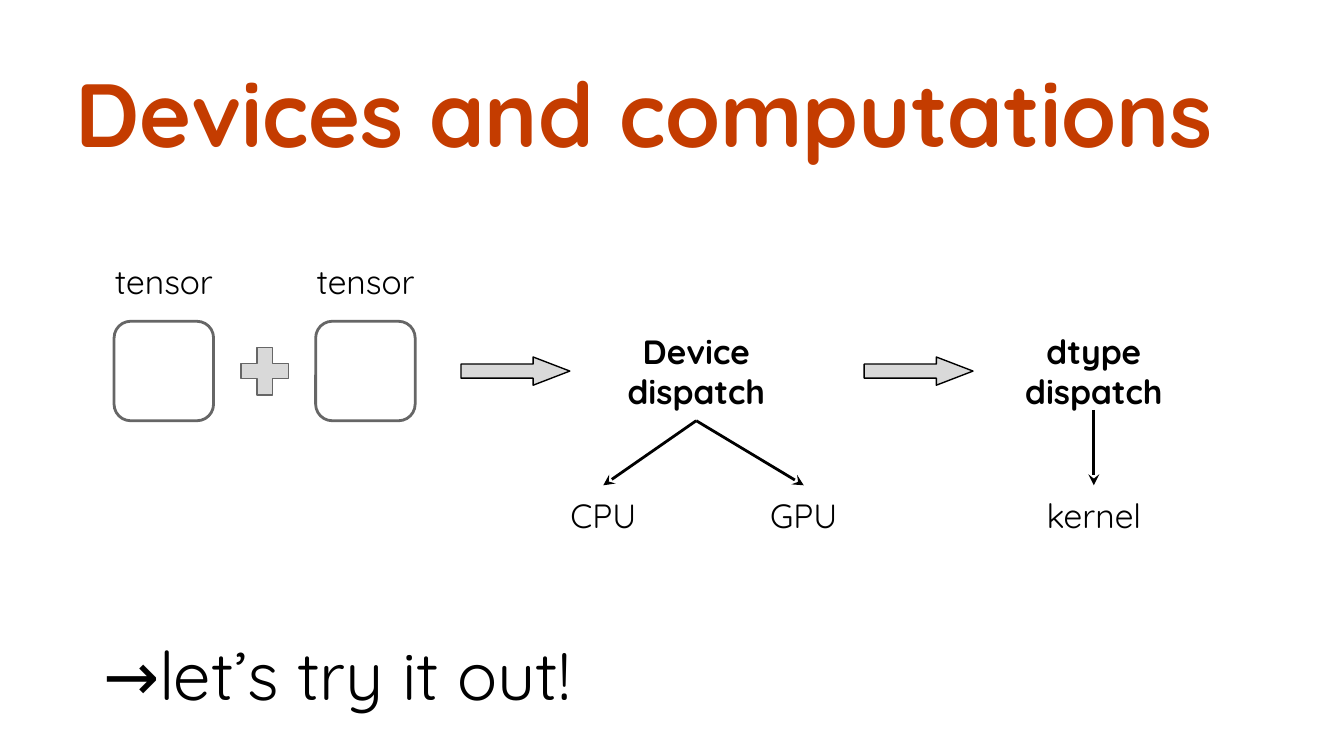
from lxml.etree import SubElement
from pptx import Presentation
from pptx.dml.color import RGBColor
from pptx.enum.shapes import MSO_CONNECTOR, MSO_SHAPE
from pptx.enum.text import MSO_ANCHOR, MSO_AUTO_SIZE, PP_ALIGN
from pptx.oxml.ns import qn
from pptx.util import Pt

ORANGE = RGBColor(0xC4, 0x3C, 0x00)
BLACK = RGBColor(0x00, 0x00, 0x00)
GREY = RGBColor(0x66, 0x66, 0x66)
LIGHT_GREY = RGBColor(0xD9, 0xD9, 0xD9)
FONT = "Quicksand"

TITLE = "Devices and computations"
CLOSING = "→let’s try it out!"

# Rows and columns are centre lines, in points
TENSOR_LABEL_ROW, FLOW_ROW, TARGET_ROW = 150.5, 198.8, 275.8
TENSOR_COLUMNS = (87.8, 195.8)
DEVICE_COLUMN, DTYPE_COLUMN = 373, 586
CPU_COLUMN, GPU_COLUMN = 323.2, 430.6
TARGET_TOP = 260

LABELS = [  # text, column, row, bold
    *[("tensor", column, TENSOR_LABEL_ROW, False) for column in TENSOR_COLUMNS],
    ("Device dispatch", DEVICE_COLUMN, FLOW_ROW, True),
    ("dtype dispatch", DTYPE_COLUMN, FLOW_ROW, True),
    ("CPU", CPU_COLUMN, TARGET_ROW, False),
    ("GPU", GPU_COLUMN, TARGET_ROW, False),
    ("kernel", DTYPE_COLUMN, TARGET_ROW, False),
]

TENSOR = dict(kind=MSO_SHAPE.ROUNDED_RECTANGLE, width=53.3, height=53.3,
              adjustments=(0.167,), fill=None, line=GREY, weight=1.5)
PLUS = dict(kind=MSO_SHAPE.MATH_PLUS, width=34.6, height=34.6,
            adjustments=(0.235,), fill=LIGHT_GREY, line=GREY, weight=0.75)
FLOW_ARROW = dict(kind=MSO_SHAPE.RIGHT_ARROW, width=58.3, height=15.1,
                  adjustments=(0.5, 1.3), fill=LIGHT_GREY, line=BLACK, weight=0.75)
FLOW = [  # style, column
    *[(TENSOR, column) for column in TENSOR_COLUMNS],
    (PLUS, sum(TENSOR_COLUMNS) / 2),
    (FLOW_ARROW, 276.1),
    (FLOW_ARROW, 492.1),
]

BRANCHES = [  # start column, start height, end column
    (DEVICE_COLUMN, 225.4, CPU_COLUMN),
    (DEVICE_COLUMN, 225.4, GPU_COLUMN),
    (DTYPE_COLUMN, 219.6, DTYPE_COLUMN),
]


def place(shape, left, top, width, height):
    bounds = dict(left=left, top=top, width=width, height=height)
    for name, value in bounds.items():
        setattr(shape, name, Pt(value))


def write(shape, text, size, color=BLACK, bold=False,
          alignment=PP_ALIGN.CENTER, anchor=MSO_ANCHOR.MIDDLE):
    frame = shape.text_frame
    frame.text = text
    frame_format = dict(word_wrap=True, auto_size=MSO_AUTO_SIZE.NONE,
                        vertical_anchor=anchor)
    for side in ("left", "top", "right", "bottom"):
        frame_format[f"margin_{side}"] = Pt(7.2)
    for name, value in frame_format.items():
        setattr(frame, name, value)
    paragraph = frame.paragraphs[0]
    paragraph.alignment = alignment
    paragraph.space_before = Pt(0)
    font = paragraph.runs[0].font
    for name, value in dict(name=FONT, size=Pt(size), bold=bold).items():
        setattr(font, name, value)
    font.color.rgb = color


def add_label(slide, text, column, row, bold):
    width, height = 109.4, 53.3 if bold else 31.7
    box = slide.shapes.add_textbox(Pt(column - width / 2), Pt(row - height / 2),
                                   Pt(width), Pt(height))
    write(box, text, 18, bold=bold)


def add_flow_shape(slide, style, column):
    width, height = style["width"], style["height"]
    shape = slide.shapes.add_shape(
        style["kind"], Pt(column - width / 2), Pt(FLOW_ROW - height / 2),
        Pt(width), Pt(height))
    shape.shadow.inherit = False
    for index, value in enumerate(style["adjustments"]):
        shape.adjustments[index] = value
    if style["fill"] is None:
        shape.fill.background()
    else:
        shape.fill.solid()
        shape.fill.fore_color.rgb = style["fill"]
    shape.line.color.rgb = style["line"]
    shape.line.width = Pt(style["weight"])


def add_branch(slide, start_column, start_height, end_column):
    connector = slide.shapes.add_connector(
        MSO_CONNECTOR.STRAIGHT, Pt(start_column), Pt(start_height),
        Pt(end_column), Pt(TARGET_TOP))
    connector.line.color.rgb = BLACK
    connector.line.width = Pt(1.5)
    SubElement(connector.line._get_or_add_ln(), qn("a:tailEnd"), type="stealth")
    SubElement(connector._element.spPr, qn("a:effectLst"))


def main():
    presentation = Presentation()
    presentation.slide_width, presentation.slide_height = Pt(720), Pt(405)
    slide = presentation.slides.add_slide(presentation.slide_layouts[0])

    title, closing = slide.placeholders
    place(title, 33, 23.8, 666, 106.6)
    write(title, TITLE, 48, ORANGE, True, PP_ALIGN.LEFT, MSO_ANCHOR.TOP)
    place(closing, 33, 327.6, 295.2, 66.2)
    write(closing, CLOSING, 36)

    for style, column in FLOW:
        add_flow_shape(slide, style, column)
    for label in LABELS:
        add_label(slide, *label)
    for branch in BRANCHES:
        add_branch(slide, *branch)

    presentation.save("out.pptx")


if __name__ == "__main__":
    main()
